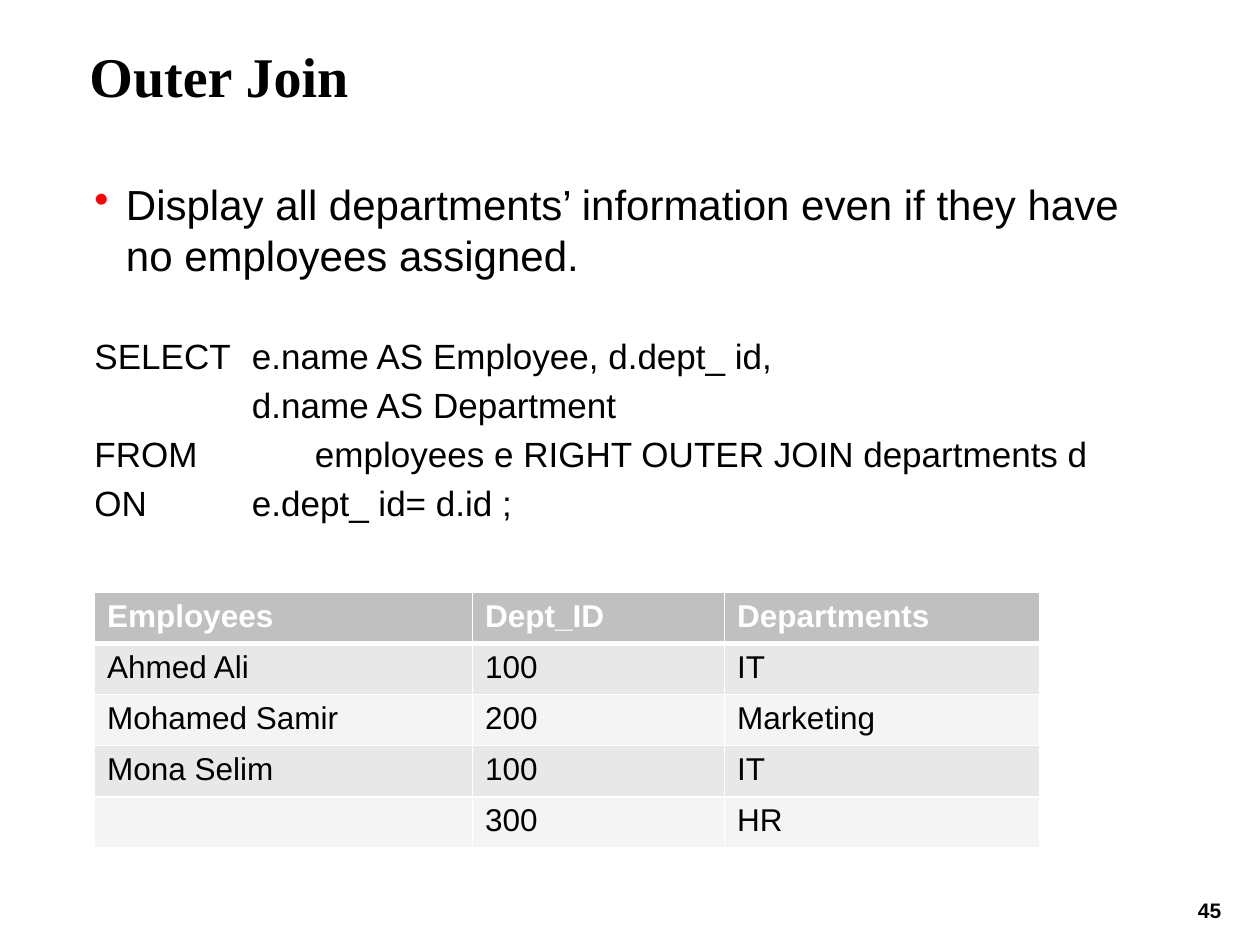
from dataclasses import dataclass

from lxml import etree
from pptx import Presentation
from pptx.dml.color import RGBColor
from pptx.enum.text import MSO_ANCHOR, PP_ALIGN
from pptx.oxml.ns import qn
from pptx.util import Inches, Pt

TOP = MSO_ANCHOR.TOP
LEFT, CENTER = PP_ALIGN.LEFT, PP_ALIGN.CENTER


@dataclass(frozen=True)
class Theme:
    sans: str = "Arial"
    serif: str = "Times New Roman"
    ink: str = "000000"
    paper: str = "FFFFFF"
    bullet: str = "FD0000"
    head: str = "C0C0C0"
    bands: tuple = ("E8E8E8", "F4F4F4")
    title: int = 32
    lead: int = 24
    code: int = 20
    cell: int = 18
    page: int = 12


THEME = Theme()

LEAD = "Display all departments’ information even if they have no employees assigned."
QUERY = [
    "SELECT\te.name AS Employee, d.dept_ id,",
    "\t\t\td.name AS Department",
    "FROM\t\temployees e RIGHT OUTER JOIN departments d",
    "ON\t\te.dept_ id= d.id ;",
]
ROWS = [
    ("Employees", "Dept_ID", "Departments"),
    ("Ahmed Ali", "100", "IT"),
    ("Mohamed Samir", "200", "Marketing"),
    ("Mona Selim", "100", "IT"),
    ("", "300", "HR"),
]
COLS = (3, 2, 2.5)


def write(para, text, size, font=THEME.sans, color=THEME.ink, bold=False, align=LEFT):
    para.text = text
    para.alignment = align
    for run in para.runs:
        run.font.name = font
        run.font.size = Pt(size)
        run.font.bold = bold
        run.font.color.rgb = RGBColor.from_string(color)


def add_frame(slide, box, pad=(0, 0)):
    frame = slide.shapes.add_textbox(*map(Inches, box)).text_frame
    frame.word_wrap = True
    frame.vertical_anchor = TOP
    frame.margin_left = frame.margin_right = Inches(pad[0])
    frame.margin_top = frame.margin_bottom = Inches(pad[1])
    return frame


def hang(para, mark=None):
    """Give a hanging indent, with a coloured bullet if a mark is given."""
    props = para._p.get_or_add_pPr()
    props.set("marL", str(Inches(0.25)))
    props.set("indent", str(-Inches(0.25)))
    if mark:
        tint = etree.SubElement(props, qn("a:buClr"))
        etree.SubElement(tint, qn("a:srgbClr"), val=THEME.bullet)
        etree.SubElement(props, qn("a:buChar"), char=mark)
    else:
        etree.SubElement(props, qn("a:buNone"))


def edge(cell, widths):
    """Draw the cell borders; widths are in points: left, right, top, bottom."""
    props = cell._tc.get_or_add_tcPr()
    for i, (side, width) in enumerate(zip("LRTB", widths)):
        line = etree.Element(qn(f"a:ln{side}"), w=str(Pt(width)))
        fill = etree.SubElement(line, qn("a:solidFill"))
        etree.SubElement(fill, qn("a:srgbClr"), val=THEME.paper)
        props.insert(i, line)


def add_title(slide, box):
    para = add_frame(slide, box).paragraphs[0]
    write(para, "Outer Join", THEME.title, THEME.serif, bold=True)


def add_body(slide, box):
    frame = add_frame(slide, box)
    lead = frame.paragraphs[0]
    write(lead, LEAD, THEME.lead)
    hang(lead, "•")
    for i, text in enumerate(QUERY):
        para = frame.add_paragraph()
        write(para, text, THEME.code)
        # The query starts one line below the lead
        para.space_before = Pt(4 if i else 31)
        hang(para)


def add_grid(slide, box):
    shape = slide.shapes.add_table(len(ROWS), len(COLS), *map(Inches, box))
    grid = shape.table
    for col, width in zip(grid.columns, COLS):
        col.width = Inches(width)
    for r, row in enumerate(ROWS):
        top = r == 0
        back = THEME.head if top else THEME.bands[(r - 1) % 2]
        ink = THEME.paper if top else THEME.ink
        for c, text in enumerate(row):
            cell = grid.cell(r, c)
            cell.fill.solid()
            cell.fill.fore_color.rgb = RGBColor.from_string(back)
            write(cell.text_frame.paragraphs[0], text, THEME.cell, color=ink, bold=top)
            # A thick rule parts the header from the rows
            edge(cell, (1, 1, 3 if r == 1 else 1, 3 if top else 1))


def add_page(slide, box):
    para = add_frame(slide, box, (0.1, 0.05)).paragraphs[0]
    write(para, "45", THEME.page, bold=True, align=CENTER)
    para.line_spacing = 0.9


def main():
    deck = Presentation()
    deck.slide_width, deck.slide_height = Inches(10), Inches(7.5)
    slide = deck.slides.add_slide(deck.slide_layouts[6])
    add_page(slide, (9.35, 7.1, 0.5, 0.28))
    add_title(slide, (0.71, 0.33, 8.29, 1.03))
    add_body(slide, (0.75, 1.42, 8.24, 3.25))
    add_grid(slide, (0.75, 4.7, 7.5, 2.03))
    deck.save("out.pptx")


if __name__ == "__main__":
    main()
